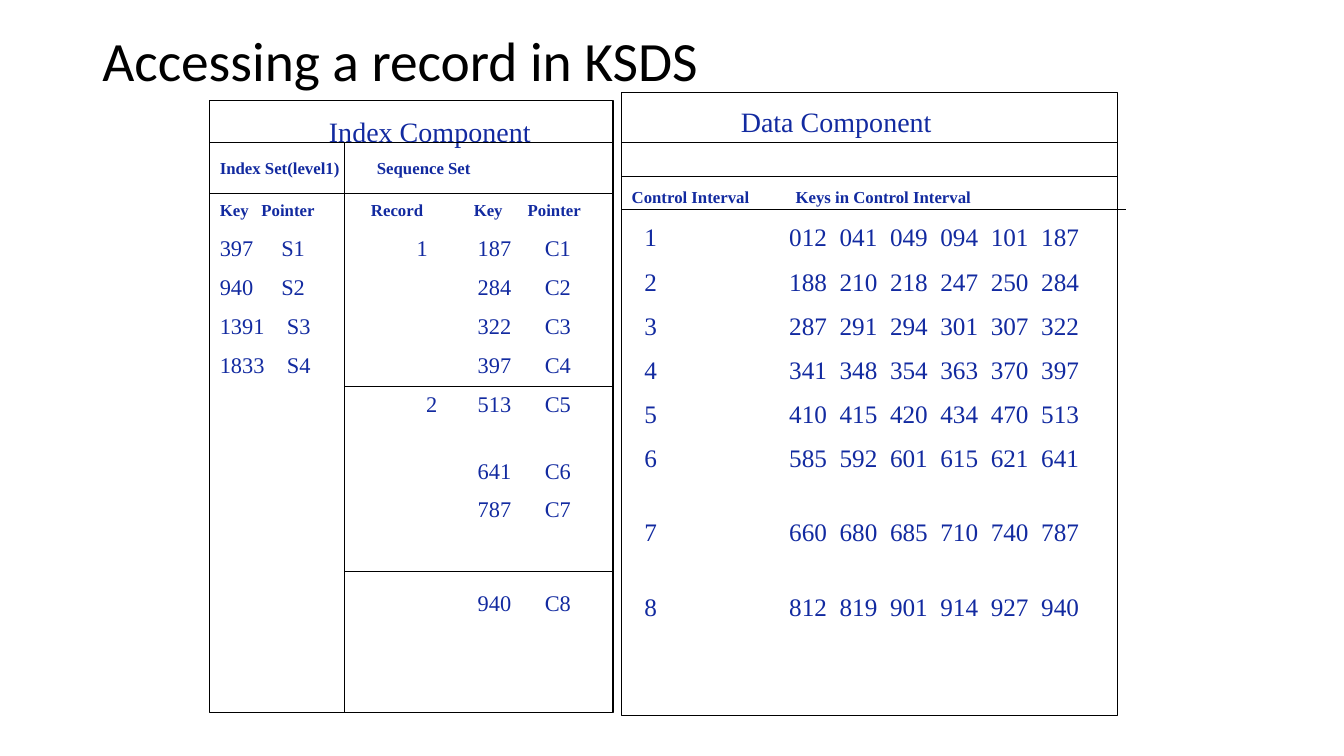
from dataclasses import dataclass
from lxml import etree
from pptx import Presentation
from pptx.dml.color import RGBColor
from pptx.enum.shapes import MSO_CONNECTOR, MSO_SHAPE
from pptx.enum.text import MSO_ANCHOR, PP_ALIGN
from pptx.oxml.ns import qn
from pptx.util import Cm, Pt

RECT, LINE = MSO_SHAPE.RECTANGLE, MSO_CONNECTOR.STRAIGHT
TOP, MID, LEFT = MSO_ANCHOR.TOP, MSO_ANCHOR.MIDDLE, PP_ALIGN.LEFT


@dataclass(frozen=True)
class Theme:
    ink: RGBColor = RGBColor(0x12, 0x2A, 0xA0)
    black: RGBColor = RGBColor(0, 0, 0)
    sans: str = "Calibri"
    serif: str = "Times New Roman"
    title: float = 39.6
    head: float = 20
    label: float = 12
    index: float = 16
    data: float = 18
    rule: float = 0.75
    inset: float = 0.25  # cm
    lead: float = 1.15  # line height per type size


T = Theme()


def put(par, text, size=T.index, font=T.serif, color=T.ink, bold=False,
        gap=0, tabs=()):
    """Write one paragraph; gap in points, tab stops in cm."""
    par.alignment = LEFT
    par.space_before = Pt(gap)
    run = par.add_run()
    run.text = text
    run.font.size, run.font.name, run.font.bold = Pt(size), font, bold
    run.font.color.rgb = color
    if tabs:
        stops = etree.SubElement(par._p.get_or_add_pPr(), qn("a:tabLst"))
        for x in tabs:
            etree.SubElement(stops, qn("a:tab"), pos=str(Cm(x)), algn="l")


def setup(frame, anchor=TOP, top=0):
    frame.word_wrap = True
    frame.vertical_anchor = anchor
    frame.margin_left = frame.margin_right = Cm(T.inset)
    frame.margin_top, frame.margin_bottom = top, 0


def rule(slide, x1, y1, x2, y2):
    line = slide.shapes.add_connector(LINE, Cm(x1), Cm(y1), Cm(x2), Cm(y2))
    line.line.color.rgb, line.line.width = T.black, Pt(T.rule)
    etree.SubElement(line._element.spPr, qn("a:effectLst"))


def panel(slide, box, rows, rules):
    """Framed text with rules; each row is (middle, text, size, bold, tabs)."""
    x, y, w, h = box
    frame = slide.shapes.add_shape(RECT, *map(Cm, box))
    frame.shadow.inherit = False
    frame.fill.background()
    frame.line.color.rgb, frame.line.width = T.black, Pt(T.rule)
    text = frame.text_frame
    end = 0
    for n, (mid, words, size, bold, tabs) in enumerate(rows):
        high = size * T.lead
        gap = Cm(mid).pt - high / 2 - end
        if n == 0:
            setup(text, top=Pt(gap))
            par, gap = text.paragraphs[0], 0
        else:
            par = text.add_paragraph()
        put(par, words, size, bold=bold, gap=round(gap, 1), tabs=tabs)
        end = Cm(mid).pt + high / 2
    for x1, y1, x2, y2 in rules:
        rule(slide, x + x1, y + y1, x + x2, y + y2)


def title(slide, box, words):
    text = slide.shapes.add_textbox(*map(Cm, box)).text_frame
    setup(text, MID)
    put(text.paragraphs[0], words, T.title, T.sans, T.black)


def index(slide, box):
    w, h = box[2:]
    split = 3.39
    rows = [
        (0.74, "\tIndex Component", T.head, False, [2.75]),
        (1.64, "Index Set(level1)\tSequence Set", T.label, True, [3.96]),
        (2.68, "Key\tPointer\tRecord\tKey\tPointer", T.label, True,
         [1.05, 3.81, 6.4, 7.76]),
    ]
    # Key, set, record, key and interval of each entry
    cells = [
        (3.61, "397\tS1\t1\t187\tC1"),
        (4.57, "940\tS2\t\t284\tC2"),
        (5.53, "1391\tS3\t\t322\tC3"),
        (6.48, "1833\tS4\t\t397\tC4"),
        (7.44, "\t\t2\t513\tC5"),
        (9.08, "\t\t\t641\tC6"),
        (10.03, "\t\t\t787\tC7"),
        (12.35, "\t\t\t940\tC8"),
    ]
    for mid, words in cells:
        name = 1.69 if len(words.split("\t")[0]) == 4 else 1.55
        mark = 5.2 if "\t2\t" in words else 4.96
        rows.append((mid, words, T.index, False, [name, mark, 6.5, 8.19]))
    rules = [(0, 1.06, w, 1.06), (0, 2.33, w, 2.33), (split, 1.06, split, h),
             (split, 7.2, w, 7.2), (split, 11.85, w, 11.85)]
    panel(slide, box, rows, rules)


def data(slide, box):
    w = box[2]
    rows = [
        (0.72, "\tData Component", T.head, False, [2.75]),
        (2.58, "Control Interval\tKeys in Control Interval", T.label, True,
         [4.13]),
    ]
    keys = [
        "012 041 049 094 101 187", "188 210 218 247 250 284",
        "287 291 294 301 307 322", "341 348 354 363 370 397",
        "410 415 420 434 470 513", "585 592 601 615 621 641",
        "660 680 685 710 740 787", "812 819 901 914 927 940",
    ]
    tabs = [0.32] + [3.97 + 1.27 * n for n in range(6)]
    for n, line in enumerate(keys):
        mid = 3.57 + 1.08 * n + 0.76 * max(0, n - 5)
        words = "\t".join(["", str(n + 1)] + line.split())
        rows.append((mid, words, T.data, False, tabs))
    rules = [(0, 1.27, w, 1.27), (0, 2.12, w, 2.12), (0, 2.96, w + 0.21, 2.96)]
    panel(slide, box, rows, rules)


deck = Presentation()
deck.slide_width, deck.slide_height = Cm(33.87), Cm(19.05)
page = deck.slides.add_slide(deck.slide_layouts[6])

title(page, (2.33, 0.64, 29.21, 1.69), "Accessing a record in KSDS")
index(page, (5.29, 2.54, 10.16, 15.42))
rule(page, 4.88, 3.18, 4.88, 3.18)  # small dot beside the index
data(page, (15.67, 2.33, 12.49, 15.71))

deck.save("out.pptx")
